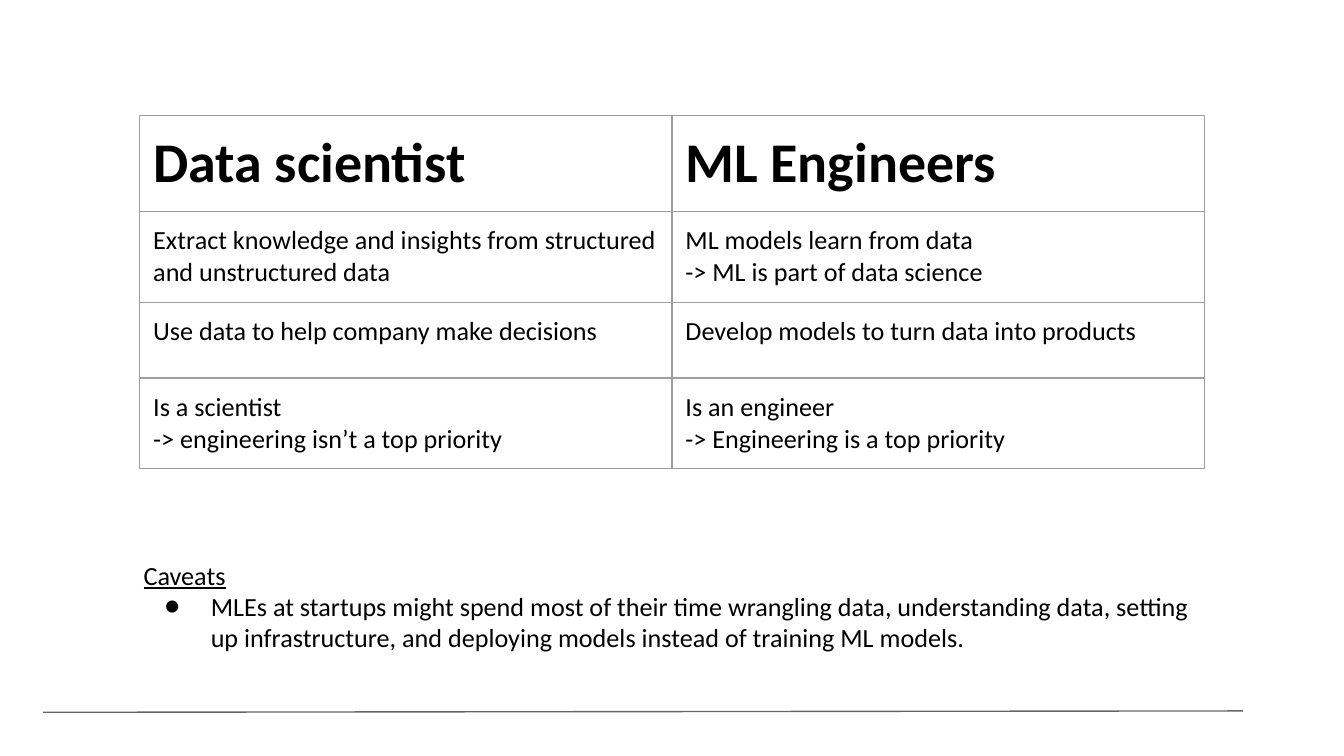
from lxml.etree import SubElement as Sub
from pptx import Presentation
from pptx.dml.color import RGBColor
from pptx.enum.shapes import MSO_CONNECTOR as Conn
from pptx.oxml import parse_xml
from pptx.oxml.ns import nsdecls, qn
from pptx.util import Pt

SCALE = 4572
INK, GRID, RULE = "000000", "9E9E9E", "666666"
HEADS = ["Data scientist", "ML Engineers"]
ROWS = [
    ["Extract knowledge and insights from structured and unstructured data",
     "ML models learn from data\n-> ML is part of data science"],
    ["Use data to help company make decisions",
     "Develop models to turn data into products"],
    ["Is a scientist\n-> engineering isn’t a top priority",
     "Is an engineer\n-> Engineering is a top priority"],
]
CAVEAT = ("MLEs at startups might spend most of their time wrangling data, "
          "understanding data, setting up infrastructure, and deploying models "
          "instead of training ML models.")


def px(n):
    """Turn px into EMU."""
    return n * SCALE


def rgb(code):
    """Turn a hex string into a colour."""
    return RGBColor.from_string(code)


class Deck:
    """Holds the style and the current slide."""

    def __init__(self, wide, high, face="Calibri", size=14, pad=20):
        """Start a deck with one blank slide."""
        self.prs = Presentation()
        self.prs.slide_width, self.prs.slide_height = px(wide), px(high)
        self.face, self.size, self.pad = face, size, pad
        self.slide = self.prs.slides.add_slide(self.prs.slide_layouts[6])

    def style(self, para, size=None, bold=False, under=False):
        """Format the runs of a paragraph."""
        for run in para.runs:
            font = run.font
            font.name, font.size = self.face, Pt(size or self.size)
            font.bold, font.underline = bold, under
            font.color.rgb = rgb(INK)

    def inset(self, box):
        """Set equal margins on a cell or text frame."""
        box.margin_left = box.margin_right = px(self.pad)
        box.margin_top = box.margin_bottom = px(self.pad)

    def line(self, x1, y1, x2, y2, code, width=0.75):
        """Draw a straight line."""
        rule = self.slide.shapes.add_connector(
            Conn.STRAIGHT, px(x1), px(y1), px(x2), px(y2))
        rule.line.color.rgb, rule.line.width = rgb(code), Pt(width)
        Sub(rule._element.spPr, qn("a:effectLst"))

    def edge(self, cell, code, width=0.75):
        """Draw the four borders of a cell."""
        props = cell._tc.get_or_add_tcPr()
        for i, side in enumerate("LRTB"):
            props.insert(i, parse_xml(
                f'<a:ln{side} {nsdecls("a")} w="{int(Pt(width))}"><a:solidFill>'
                f'<a:srgbClr val="{code}"/></a:solidFill></a:ln{side}>'))

    def table(self, x, y, wide, highs, rows):
        """Add a plain grid with a large bold first row."""
        cols = len(rows[0])
        grid = self.slide.shapes.add_table(
            len(rows), cols, px(x), px(y), px(wide * cols), px(sum(highs))).table
        grid.first_row = grid.horz_banding = False
        for col in grid.columns:
            col.width = px(wide)
        for r, (high, texts) in enumerate(zip(highs, rows)):
            grid.rows[r].height = px(high)
            for c, text in enumerate(texts):
                cell = grid.cell(r, c)
                cell.fill.background()
                self.inset(cell)
                self.edge(cell, GRID)
                cell.text_frame.text = text
                for para in cell.text_frame.paragraphs:
                    self.style(para, 30 if r == 0 else None, bold=r == 0)

    def bullet(self, para, left, hang):
        """Give a paragraph a round bullet with a hanging indent."""
        props = para._p.get_or_add_pPr()
        props.set("marL", str(px(left)))
        props.set("indent", str(-px(hang)))
        Sub(Sub(props, qn("a:buClr")), qn("a:srgbClr"), val=INK)
        Sub(props, qn("a:buFont"), typeface=self.face)
        Sub(props, qn("a:buChar"), char="●")

    def note(self, x, y, wide, high, head, text):
        """Add an underlined heading with one bullet below."""
        frame = self.slide.shapes.add_textbox(
            px(x), px(y), px(wide), px(high)).text_frame
        frame.word_wrap = True
        self.inset(frame)
        frame.text = head
        self.style(frame.paragraphs[0], under=True)
        para = frame.add_paragraph()
        para.text = text
        self.bullet(para, 100, 69)
        self.style(para)


def main():
    """Build the slide."""
    deck = Deck(2000, 1125)
    deck.line(64, 1060, 1850, 1058, RULE)
    deck.table(208, 172, 792, [143, 110, 113, 113], [HEADS, *ROWS])
    deck.note(194, 812, 1632, 246, "Caveats", CAVEAT)
    deck.prs.save("out.pptx")


if __name__ == "__main__":
    main()
